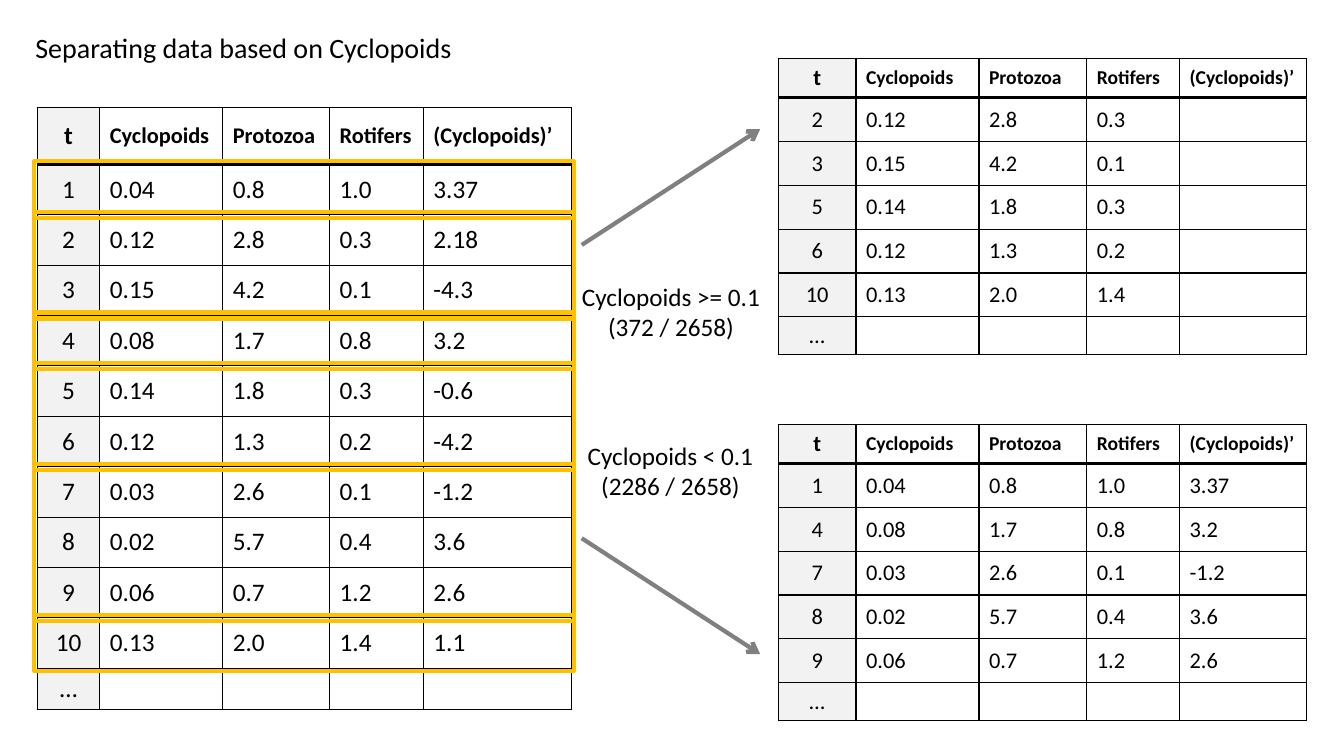
from itertools import groupby
from lxml import etree
from pptx import Presentation
from pptx.dml.color import RGBColor
from pptx.enum import shapes, text
from pptx.oxml import ns
from pptx.util import Inches, Pt

COLORS = {"text": "000000", "index": "F2F2F2", "cell": "FFFFFF",
          "arrow": "808080", "band": "FFC000"}
FONT = "Calibri"
HEADER = ["t", "Cyclopoids", "Protozoa", "Rotifers", "(Cyclopoids)’"]
DATA = [
    ["1", "0.04", "0.8", "1.0", "3.37"],
    ["2", "0.12", "2.8", "0.3", "2.18"],
    ["3", "0.15", "4.2", "0.1", "-4.3"],
    ["4", "0.08", "1.7", "0.8", "3.2"],
    ["5", "0.14", "1.8", "0.3", "-0.6"],
    ["6", "0.12", "1.3", "0.2", "-4.2"],
    ["7", "0.03", "2.6", "0.1", "-1.2"],
    ["8", "0.02", "5.7", "0.4", "3.6"],
    ["9", "0.06", "0.7", "1.2", "2.6"],
    ["10", "0.13", "2.0", "1.4", "1.1"],
]
high = [row[:4] + [""] for row in DATA if float(row[1]) >= 0.1]
low = [row for row in DATA if float(row[1]) < 0.1]


def style(p, size, align, bold=False):
    p.alignment = align
    for r in p.runs:
        r.font.name = FONT
        r.font.size = Pt(size)
        r.font.bold = bold
        r.font.color.rgb = RGBColor.from_string(COLORS["text"])


def add_data_table(s, left, top, widths, heights, body, size):
    rows = [HEADER] + body + [["…", "", "", "", ""]]
    sp = s.shapes.add_table(len(rows), len(HEADER), Inches(left), Inches(top),
                            Inches(sum(widths)), Inches(sum(heights)))
    table = sp.table
    table.first_row = table.horz_banding = False
    for col, width in zip(table.columns, widths):
        col.width = Inches(width)
    for i, (row, height) in enumerate(zip(rows, heights)):
        table.rows[i].height = Inches(height)
        for j, value in enumerate(row):
            cell = table.cell(i, j)
            cell.vertical_anchor = text.MSO_ANCHOR.MIDDLE
            cell.fill.solid()
            cell.fill.fore_color.rgb = RGBColor.from_string(COLORS["cell" if j else "index"])
            p = cell.text_frame.paragraphs[0]
            if value:
                p.text = value
            else:
                p._p.get_or_add_endParaRPr().set("sz", str(size * 100))
            style(p, size - 2 if i == 0 and j else size,
                  text.PP_ALIGN.LEFT if j else text.PP_ALIGN.CENTER, i == 0)
            thick = {"lnB": i == 0, "lnT": i == 1}
            tcPr = cell._tc.get_or_add_tcPr()
            for k, side in enumerate(["lnL", "lnR", "lnT", "lnB"]):
                ln = etree.Element(ns.qn("a:" + side), w=str(Pt(2.25 if thick.get(side) else 1)))
                fill = etree.SubElement(ln, ns.qn("a:solidFill"))
                etree.SubElement(fill, ns.qn("a:srgbClr"), val=COLORS["text"])
                tcPr.insert(k, ln)


prs = Presentation()
prs.slide_width, prs.slide_height = Inches(13.33), Inches(7.5)
s = prs.slides.add_slide(prs.slide_layouts[5])

title = s.shapes.title
title.left, title.top, title.width, title.height = [Inches(v) for v in (0.25, 0.25, 4.43, 0.44)]
tf = title.text_frame
tf.text = "Separating data based on Cyclopoids"
tf.word_wrap = False
tf.auto_size = text.MSO_AUTO_SIZE.NONE
tf.vertical_anchor = text.MSO_ANCHOR.MIDDLE
style(tf.paragraphs[0], 20, text.PP_ALIGN.LEFT)

row_height = 0.5
add_data_table(s, 0.37, 1.07, [0.62, 1.22, 1.06, 0.93, 1.47],
               [0.56] + [row_height] * len(DATA) + [0.37], DATA, 18)
for top, body in [(0.58, high), (4.21, low)]:
    add_data_table(s, 7.72, top, [0.77, 1.22, 1.07, 0.92, 1.26],
                   [0.39] + [0.435] * len(body) + [0.36], body, 16)

for y1, y2 in [(2.43, 1.28), (5.34, 6.49)]:
    arrow = s.shapes.add_connector(shapes.MSO_CONNECTOR.STRAIGHT, Inches(5.77), Inches(y1),
                                   Inches(7.54), Inches(y2))
    arrow.line.color.rgb = RGBColor.from_string(COLORS["arrow"])
    arrow.line.width = Pt(3)
    etree.SubElement(arrow.line._get_or_add_ln(), ns.qn("a:tailEnd"), type="arrow")
    etree.SubElement(arrow._element.spPr, ns.qn("a:effectLst"))

for left, top, width, label in [(5.66, 2.74, 1.99, "Cyclopoids >= 0.1\n(372 / 2658)"),
                                (5.72, 4.32, 1.86, "Cyclopoids < 0.1\n(2286 / 2658)")]:
    sp = s.shapes.add_textbox(Inches(left), Inches(top), Inches(width), Inches(0.71))
    tf = sp.text_frame
    tf.text = label
    tf.word_wrap = False
    for p in tf.paragraphs:
        style(p, 18, text.PP_ALIGN.CENTER)

first = 0
for is_high, group in groupby(DATA, key=lambda row: float(row[1]) >= 0.1):
    count = len(list(group))
    band = s.shapes.add_shape(shapes.MSO_SHAPE.RECTANGLE, Inches(0.34),
                              Inches(1.6 + first * row_height), Inches(5.35),
                              Inches(count * row_height + 0.06))
    band.shadow.inherit = False
    band.fill.background()
    band.line.color.rgb = RGBColor.from_string(COLORS["band"])
    band.line.width = Pt(3)
    first += count

prs.save("out.pptx")
